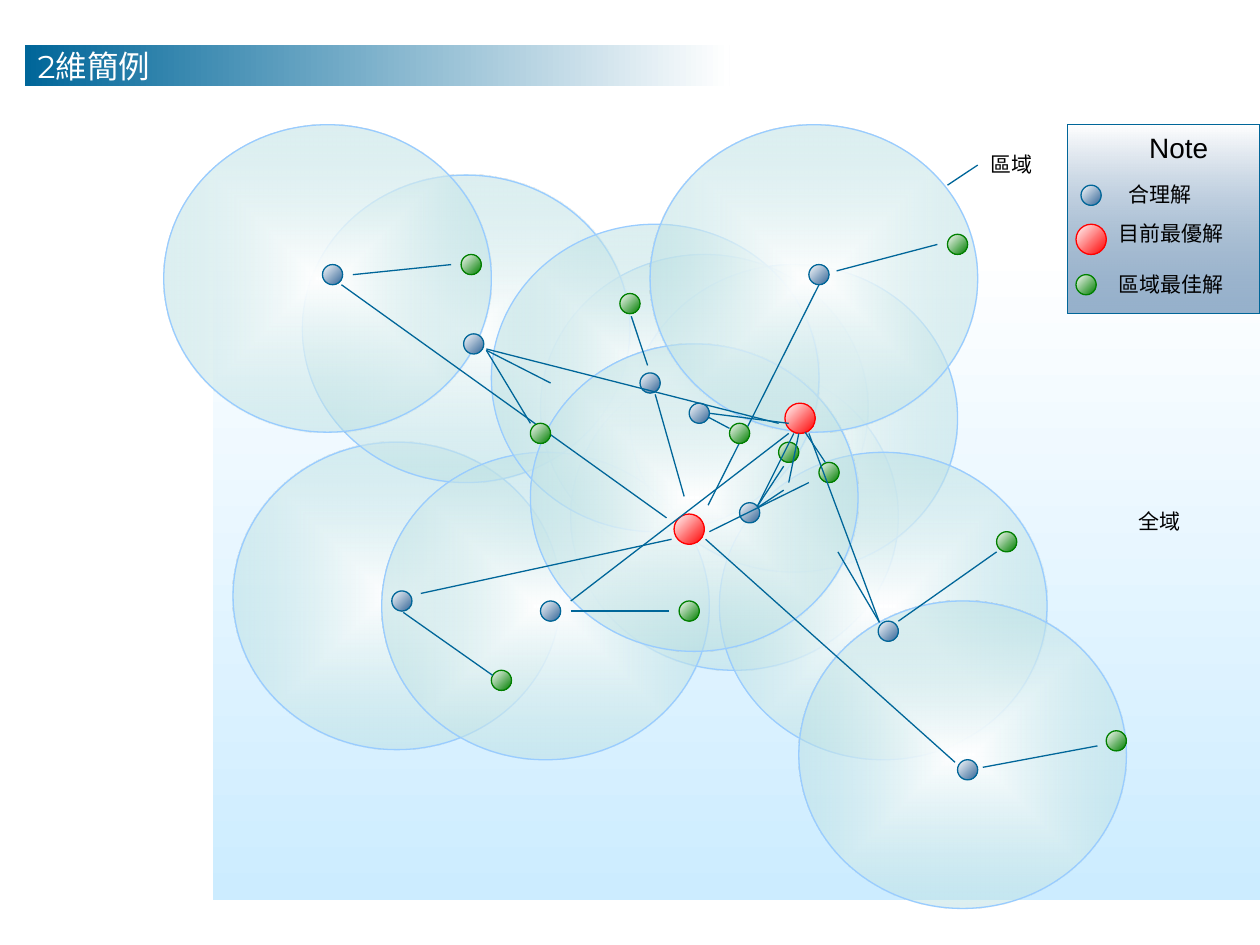
from lxml.etree import SubElement
from pptx import Presentation
from pptx.dml.color import RGBColor
from pptx.enum.shapes import MSO_CONNECTOR, MSO_SHAPE
from pptx.enum.text import MSO_ANCHOR, MSO_AUTO_SIZE, PP_ALIGN
from pptx.oxml.ns import qn
from pptx.util import Inches, Pt

WHITE = RGBColor(0xFF, 0xFF, 0xFF)
BLACK = RGBColor(0x00, 0x00, 0x00)
SKY = RGBColor(0xCC, 0xEC, 0xFF)
TEAL = RGBColor(0xBB, 0xE0, 0xE3)
RIM = RGBColor(0x99, 0xCC, 0xFF)
NAVY = RGBColor(0x00, 0x66, 0x99)
STEEL = RGBColor(0x33, 0x66, 0x99)
RED = RGBColor(0xFF, 0x00, 0x00)
GREEN = RGBColor(0x00, 0x80, 0x00)

# The slide is a grid of 100 columns by 75 rows of square cells
CELL = Inches(10) // 100
RIGHT, DOWN, DIAGONAL = 0, 270, 315

# Kinds of point: size, gradient end colour, outline
FEASIBLE = (1.6, STEEL, NAVY)
BEST = (2.4, RED, RED)
LOCAL = (1.6, GREEN, GREEN)

REGIONS = [
    (42.9, 20.2), (18.5, 35.1), (45.3, 28.8), (50, 21), (24, 13.9), (57.1, 35.9),
    (30.3, 35.9), (39, 17.8), (42.1, 27.3), (63.4, 47.7), (51.6, 9.9), (13, 9.9),
]

# Points under and over the first set of links
LOWER_POINTS = [
    (FEASIBLE, [(25.6, 21), (31.1, 46.9), (64.2, 21), (50.8, 29.6), (76, 60.3),
                (53.9, 41.4)]),
    (BEST, [(53.5, 40.8)]),
    (LOCAL, [(36.6, 20.2), (75.2, 18.6), (39, 53.2), (87.8, 58), (49.2, 23.3),
             (65, 36.7)]),
]
UPPER_POINTS = [
    (FEASIBLE, [(36.8, 26.5), (62.6, 32.8), (54.7, 32), (42.9, 47.7), (58.7, 39.9),
                (69.7, 49.3)]),
    (BEST, [(62.3, 32)]),
    (LOCAL, [(53.9, 47.7), (42.1, 33.6), (79.1, 42.2), (57.9, 33.6), (61.8, 35.1)]),
]

# Groups of links, each from (x, y) to (x, y)
FIRST_LINKS = [
    [(66.4, 21.5, 74.4, 19.4), (65, 22.6, 56.2, 40.1)],
    [(28, 21.8, 35.8, 21), (27.1, 22.6, 52.9, 41.1),
     (50.1, 25.1, 51.4, 29), (52, 31.3, 54.3, 39.4)],
    [(33.4, 47.1, 53.3, 42.8), (39.1, 53.6, 32, 48.6)],
    [(87.1, 59.2, 78, 60.9), (56, 42.8, 75.8, 60.5)],
]
SECOND_LINKS = [
    [(45.3, 48.5, 53.1, 48.5), (45.3, 47.7, 62.6, 34.4)],
    [(38.6, 27.8, 42.1, 33.6), (38.6, 27.7, 61.8, 33.6), (38.6, 27.8, 43.7, 30.4)],
    [(56.2, 33.1, 57.9, 34), (56.3, 32.8, 62.6, 33.6)],
    [(63.4, 34.4, 62.6, 38.3), (63.9, 34.3, 65.5, 36.7)],
    [(60.1, 40.2, 63, 34.4), (62.2, 37, 60.1, 40.2), (60.1, 40.3, 62.2, 38.9)],
    [(71.3, 49.3, 79.1, 43.8), (66.5, 43.8, 69.8, 49.4), (64.2, 34.4, 69.8, 49.4)],
]


def cells(*counts):
    return [round(count * CELL) for count in counts]


def add_gradient_shape(page, kind, place, colours, angle=None, outline=None, alpha=None):
    """Shape with a two-colour gradient; without an angle it spreads from the centre."""
    shape = page.shapes.add_shape(kind, *cells(*place))
    shape.shadow.inherit = False
    shape.fill.gradient()
    for stop, colour in zip(shape.fill.gradient_stops, colours):
        stop.color.rgb = colour
    gradient = shape.fill._xPr.find(qn("a:gradFill"))
    if alpha:
        last_colour = gradient.findall(".//" + qn("a:srgbClr"))[-1]
        SubElement(last_colour, qn("a:alpha"), val=str(alpha * 1000))
    if angle is None:
        gradient.remove(gradient.find(qn("a:lin")))
        spread = SubElement(gradient, qn("a:path"), {"path": "shape"})
        SubElement(spread, qn("a:fillToRect"), {side: "50000" for side in "ltrb"})
    else:
        shape.fill.gradient_angle = angle
    if outline is None:
        shape.line.fill.background()
    else:
        shape.line.color.rgb = outline
        shape.line.width = Pt(0.75)
    return shape


def add_point(page, kind, x, y):
    size, colour, outline = kind
    add_gradient_shape(page, MSO_SHAPE.OVAL, (x, y, size, size), (WHITE, colour),
                       DIAGONAL, outline)


def add_points(page, layer):
    for kind, places in layer:
        for x, y in places:
            add_point(page, kind, x, y)


def add_link(shapes, ends):
    link = shapes.add_connector(MSO_CONNECTOR.STRAIGHT, *cells(*ends))
    link.line.color.rgb = NAVY
    link.line.width = Pt(0.75)
    SubElement(link._element.spPr, qn("a:effectLst"))


def add_link_groups(page, groups):
    for links in groups:
        group = page.shapes.add_group_shape()
        for ends in links:
            add_link(group.shapes, ends)


def style_text(frame, text, size, font, colour):
    frame.text = text
    span = frame.paragraphs[0].runs[0]
    span.font.size = Pt(size)
    span.font.name = font
    span.font.color.rgb = colour


def add_label(page, text, place, size=12):
    box = page.shapes.add_textbox(*cells(*place))
    frame = box.text_frame
    frame.word_wrap = False
    frame.auto_size = MSO_AUTO_SIZE.SHAPE_TO_FIT_TEXT
    style_text(frame, text, size, "Arial", BLACK)
    frame.paragraphs[0].alignment = PP_ALIGN.CENTER


def add_title(page):
    bar = add_gradient_shape(page, MSO_SHAPE.RECTANGLE, (2, 3.6, 55.9, 3.2),
                             (NAVY, WHITE), RIGHT)
    frame = bar.text_frame
    frame.word_wrap = False
    frame.vertical_anchor = MSO_ANCHOR.MIDDLE
    style_text(frame, "2維簡例", 18, "Montserrat", WHITE)
    frame.paragraphs[0].alignment = PP_ALIGN.LEFT


def add_legend(page):
    add_gradient_shape(page, MSO_SHAPE.RECTANGLE, (84.7, 9.9, 15.3, 15),
                       (WHITE, STEEL), DOWN, NAVY, alpha=50)
    add_label(page, "Note", (90.2, 9.9, 6.7, 3.7), 16)
    add_point(page, FEASIBLE, 85.8, 14.7)
    add_label(page, "合理解", (88.6, 13.9, 7, 3))
    add_point(page, BEST, 85.4, 17.8)
    add_label(page, "目前最優解", (87.8, 17, 10.3, 3))
    add_point(page, LOCAL, 85.4, 21.8)
    add_label(page, "區域最佳解", (87.8, 21.1, 10.3, 3))


def main():
    deck = Presentation()
    deck.slide_width, deck.slide_height = cells(100, 75)
    page = deck.slides.add_slide(deck.slide_layouts[6])

    # Whole search space and its regions
    add_gradient_shape(page, MSO_SHAPE.RECTANGLE, (16.9, 19.4, 83.1, 52),
                       (WHITE, SKY), DOWN)
    for x, y in REGIONS:
        add_gradient_shape(page, MSO_SHAPE.OVAL, (x, y, 26, 24.4), (WHITE, TEAL),
                           outline=RIM, alpha=50)

    # Title, legend and labels
    add_title(page)
    add_legend(page)
    add_label(page, "全域", (89.4, 39.9, 5.3, 3))
    add_label(page, "區域", (77.6, 11.5, 5.3, 3))
    add_link(page.shapes, (77.6, 13.1, 75.2, 14.7))

    # Solutions and the links between them
    add_points(page, LOWER_POINTS)
    add_link_groups(page, FIRST_LINKS)
    add_points(page, UPPER_POINTS)
    add_link(page.shapes, (56.3, 42.2, 64.2, 38.3))
    add_link_groups(page, SECOND_LINKS)

    deck.save("out.pptx")


if __name__ == "__main__":
    main()
